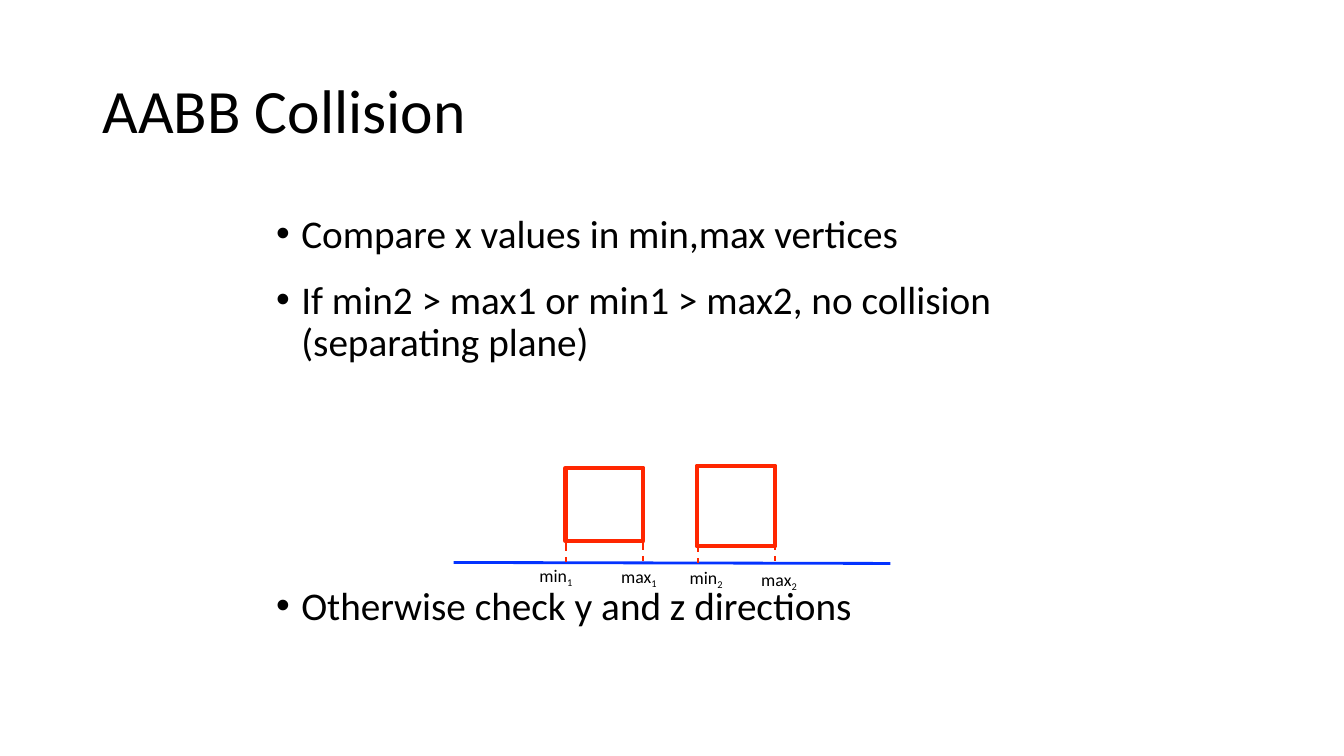
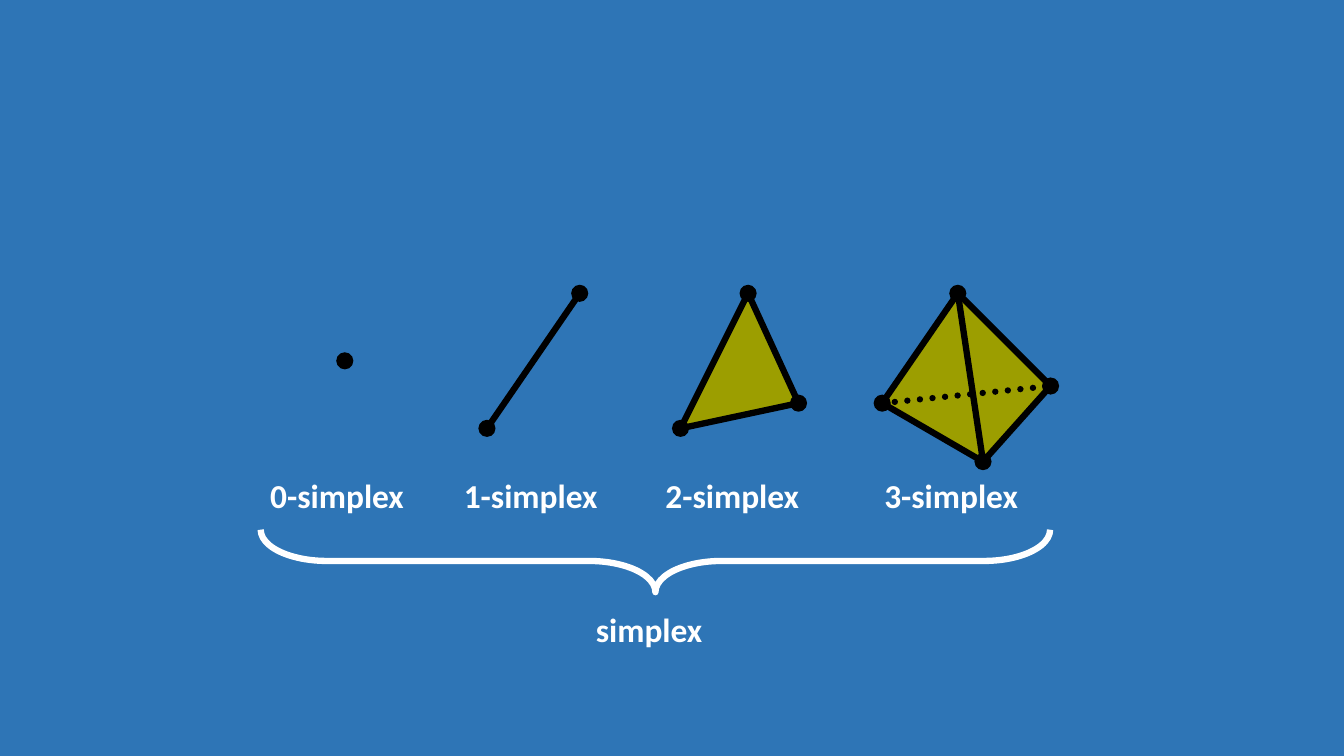
import dataclasses

import pptx
import pptx.dml.color
import pptx.enum.dml
import pptx.enum.shapes
import pptx.enum.text
import pptx.oxml.ns
import pptx.util
from lxml import etree

PX = 9144
SHAPE = pptx.enum.shapes.MSO_SHAPE
DASH = pptx.enum.dml.MSO_LINE
ANCHOR = pptx.enum.text.MSO_ANCHOR
color = pptx.dml.color.RGBColor.from_string
qn = pptx.oxml.ns.qn


@dataclasses.dataclass(frozen=True)
class Theme:
    font: str = "Calibri"
    black: object = color("000000")
    white: object = color("FFFFFF")
    blue_background: object = color("2E75B6")
    red: object = color("FF2600")
    axis_blue: object = color("0433FF")
    olive: object = color("9C9E00")
    title_size: float = 44
    body_size: float = 28
    simplex_size: float = 23.9
    extent_size: float = 12.7
    heavy_line: float = 4.5


theme = Theme()


def add_text(slide, box, lines, size, text_color, inset=(10, 5), margin=0, bold=False):
    shape = slide.shapes.add_textbox(*(value * PX for value in box))
    frame = shape.text_frame
    frame.word_wrap = True
    frame.margin_left = frame.margin_right = inset[0] * PX
    frame.margin_top = frame.margin_bottom = inset[1] * PX
    frame.text = "\n".join(lines)
    for paragraph in frame.paragraphs:
        paragraph.font.name = theme.font
        paragraph.font.size = pptx.util.Pt(size)
        paragraph.font.color.rgb = text_color
        paragraph.font.bold = bold
        paragraph._p.get_or_add_pPr().set("marL", str(margin * PX))
    return frame


def add_line(slide, start, end, line_color, width, dash=None):
    connector = slide.shapes.add_connector(
        pptx.enum.shapes.MSO_CONNECTOR.STRAIGHT,
        *(value * PX for value in (*start, *end)))
    connector.line.color.rgb = line_color
    connector.line.width = pptx.util.Pt(width)
    if dash is not None:
        connector.line.dash_style = dash
    properties = connector.element.spPr
    if dash == DASH.ROUND_DOT:
        properties.find(qn("a:ln")).set("cap", "rnd")
    etree.SubElement(properties, qn("a:effectLst"))


presentation = pptx.Presentation()
presentation.slide_width = pptx.util.Inches(13.33)
presentation.slide_height = pptx.util.Inches(7.5)
slides = []
for background in (theme.white, theme.blue_background):
    slide = presentation.slides.add_slide(presentation.slide_layouts[6])
    slide.background.fill.solid()
    slide.background.fill.fore_color.rgb = background
    slides.append(slide)
collision_slide, simplex_slide = slides

title = add_text(collision_slide, (92, 40, 1150, 145), ["AABB Collision"],
                 theme.title_size, theme.black)
title.vertical_anchor = ANCHOR.MIDDLE
title.paragraphs[0].line_spacing = 0.9

steps = [
    "Compare x values in min,max vertices",
    "If min2 > max1 or min1 > max2, no collision (separating plane)",
    "Otherwise check y and z directions",
]
body = add_text(collision_slide, (264, 208, 805, 476), steps,
                theme.body_size, theme.black, margin=25)
for paragraph, space in zip(body.paragraphs, (16.9, 16.9, 158)):
    paragraph.line_spacing = 0.9
    paragraph.space_before = pptx.util.Pt(space)
    properties = paragraph._p.get_or_add_pPr()
    properties.set("indent", str(-25 * PX))
    bullet_font = etree.Element(qn("a:buFont"), typeface="Arial")
    bullet = etree.Element(qn("a:buChar"), char="•")
    defaults = properties.find(qn("a:defRPr"))
    defaults.addprevious(bullet_font)
    defaults.addprevious(bullet)

for box in ((561, 464, 77, 73), (691, 462, 78, 80)):
    square = collision_slide.shapes.add_shape(
        SHAPE.RECTANGLE, *(value * PX for value in box))
    square.shadow.inherit = False
    square.fill.background()
    square.line.color.rgb = theme.red
    square.line.width = pptx.util.Pt(3)

extents = [
    ("min", "1", (528, 556, 47, 29)),
    ("max", "1", (609, 557, 60, 29)),
    ("min", "2", (677, 558, 47, 29)),
    ("max", "2", (748, 560, 55, 29)),
]
for name, index, box in extents:
    label = add_text(collision_slide, box, [name], theme.extent_size,
                     theme.black, inset=(4, 4), margin=3)
    subscript = label.paragraphs[0].add_run()
    subscript.text = index
    subscript._r.get_or_add_rPr().set("baseline", "-25000")

add_line(collision_slide, (450, 558), (883, 559), theme.axis_blue, 2)
for x, top in ((561, 538), (638, 537), (692, 539), (769, 537)):
    add_line(collision_slide, (x, top), (x, top + 20), theme.red, 1.5, DASH.DASH)

simplices = [
    ("0-simplex", 258, [(342, 358)], []),
    ("1-simplex", 450, [(483, 425), (575, 291)], [(0, 1, None)]),
    ("2-simplex", 650, [(675, 425), (742, 291), (792, 400)], []),
    ("3-simplex", 867, [(875, 400), (950, 291), (1042, 383), (975, 458)],
     [(0, 2, DASH.ROUND_DOT), (1, 3, None)]),
]
dot_size = 17
for name, left, vertices, edges in simplices:
    add_text(simplex_slide, (left, 467, 155, 48), [name], theme.simplex_size,
             theme.white, inset=(4, 4), margin=6, bold=True)
    if len(vertices) > 2:
        builder = simplex_slide.shapes.build_freeform(*vertices[0], scale=PX)
        builder.add_line_segments(vertices[1:], close=True)
        face = builder.convert_to_shape()
        face.shadow.inherit = False
        face.fill.solid()
        face.fill.fore_color.rgb = theme.olive
        face.line.color.rgb = theme.black
        face.line.width = pptx.util.Pt(theme.heavy_line)
    for x, y in vertices:
        dot = simplex_slide.shapes.add_shape(
            SHAPE.OVAL, round((x - dot_size / 2) * PX), round((y - dot_size / 2) * PX),
            dot_size * PX, dot_size * PX)
        dot.shadow.inherit = False
        dot.fill.solid()
        dot.fill.fore_color.rgb = theme.black
        dot.line.fill.background()
    for start, end, dash in edges:
        add_line(simplex_slide, vertices[start], vertices[end],
                 theme.black, theme.heavy_line, dash)

brace = simplex_slide.shapes.add_shape(
    SHAPE.RIGHT_BRACE, 619 * PX, 165 * PX, 62 * PX, 783 * PX)
brace.rotation = 90
brace.adjustments[0] = 1.06
brace.shadow.inherit = False
brace.fill.background()
brace.line.color.rgb = theme.white
brace.line.width = pptx.util.Pt(theme.heavy_line)
add_text(simplex_slide, (581, 600, 128, 48), ["simplex"], theme.simplex_size,
         theme.white, inset=(4, 4), margin=6, bold=True)

presentation.save("out.pptx")
